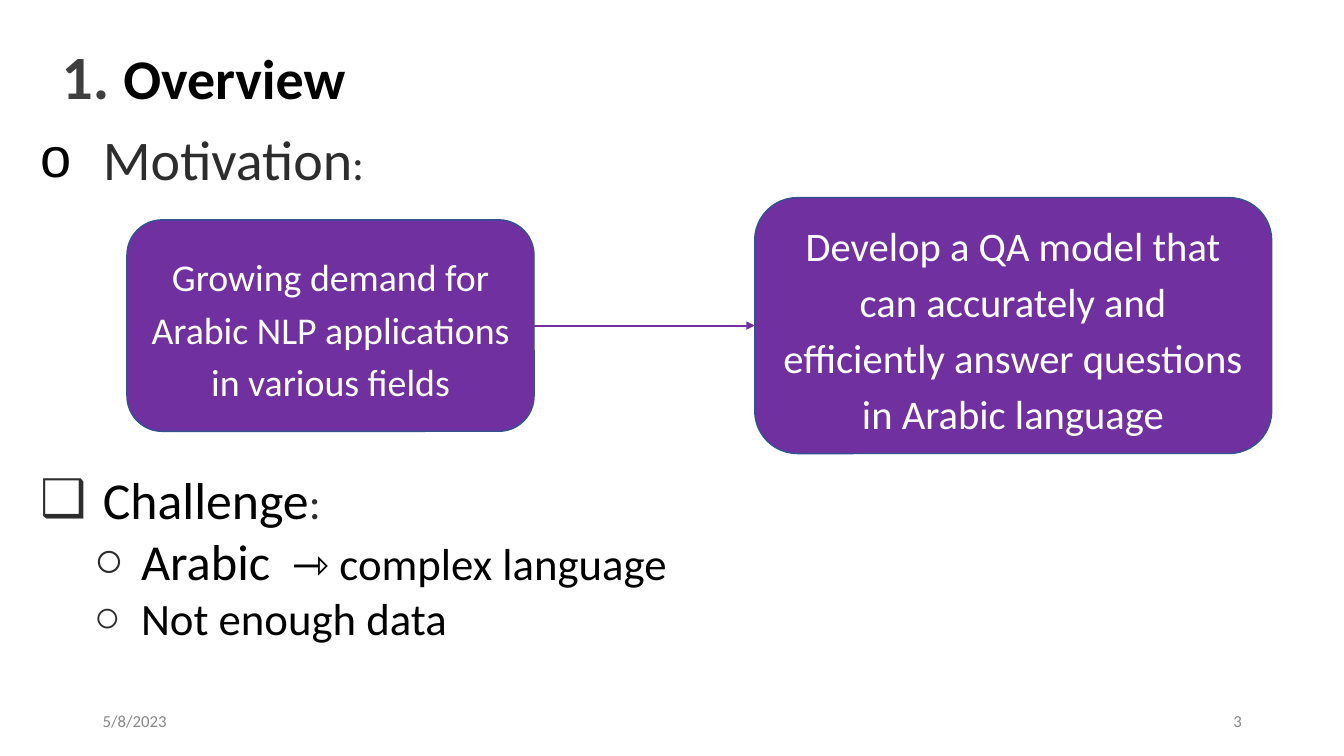
"""Build the overview slide with its motivation diagram and challenge list."""
from lxml import etree
from pptx import Presentation
from pptx.dml.color import RGBColor
from pptx.enum.shapes import MSO_CONNECTOR, MSO_SHAPE
from pptx.enum.text import MSO_ANCHOR, MSO_AUTO_SIZE, PP_ALIGN
from pptx.oxml.ns import qn
from pptx.util import Cm, Pt

LEFT, CENTER, RIGHT = PP_ALIGN.LEFT, PP_ALIGN.CENTER, PP_ALIGN.RIGHT
TOP, MIDDLE = MSO_ANCHOR.TOP, MSO_ANCHOR.MIDDLE
NO_AUTOFIT = MSO_AUTO_SIZE.NONE
ROUNDED_RECTANGLE = MSO_SHAPE.ROUNDED_RECTANGLE
STRAIGHT = MSO_CONNECTOR.STRAIGHT
LEFT_SITE, RIGHT_SITE = 1, 3

FONT = "Calibri"
TWO_CONTENT_LAYOUT = 3
BLACK = RGBColor(0x00, 0x00, 0x00)
CHARCOAL = RGBColor(0x2D, 0x2D, 0x2D)
DARK_GRAY = RGBColor(0x3F, 0x3F, 0x3F)
GRAY = RGBColor(0x88, 0x88, 0x88)
WHITE = RGBColor(0xFF, 0xFF, 0xFF)
PURPLE = RGBColor(0x70, 0x30, 0xA0)
BLUE = RGBColor(0x31, 0x53, 0x8F)


def place(shape, left, top, width, height):
    """Move and size a shape, in centimetres."""
    shape.left, shape.top = Cm(left), Cm(top)
    shape.width, shape.height = Cm(width), Cm(height)


def prepare_frame(shape, anchor):
    """Return the wrapped, fixed-size text frame of a shape."""
    text_frame = shape.text_frame
    text_frame.word_wrap = True
    text_frame.auto_size = NO_AUTOFIT
    text_frame.vertical_anchor = anchor
    return text_frame


def write_runs(paragraph, pieces, alignment=LEFT, spacing=1.0, bold=False):
    """Fill a paragraph with (text, size, colour) pieces."""
    paragraph.alignment = alignment
    paragraph.line_spacing = spacing
    paragraph.space_before = Pt(0)
    for text, size, color in pieces:
        run = paragraph.add_run()
        run.text = text
        run.font.name = FONT
        run.font.size = Pt(size)
        run.font.bold = bold
        run.font.color.rgb = color


def set_bullet(paragraph, character, color, indent, hanging):
    """Give a paragraph a coloured bullet with a hanging indent."""
    properties = paragraph._p.get_or_add_pPr()
    properties.set("marL", str(Cm(indent)))
    properties.set("indent", str(-Cm(hanging)))
    bullet_color = etree.SubElement(properties, qn("a:buClr"))
    etree.SubElement(bullet_color, qn("a:srgbClr"), val=str(color))
    etree.SubElement(properties, qn("a:buChar"), char=character)


def fill_list(placeholder, heading, heading_bullet, bullet_color, items=()):
    """Write a bulleted heading with its second-level items."""
    text_frame = prepare_frame(placeholder, TOP)
    paragraph = text_frame.paragraphs[0]
    write_runs(paragraph, heading)
    set_bullet(paragraph, heading_bullet, bullet_color, 1.58, 1.58)
    for pieces in items:
        paragraph = text_frame.add_paragraph()
        paragraph.level = 1
        write_runs(paragraph, pieces)
        set_bullet(paragraph, "○", CHARCOAL, 2.54, 1.19)


def add_box(slide, text, size, left, top, width, height):
    """Add a purple rounded box with centred text."""
    box = slide.shapes.add_shape(
        ROUNDED_RECTANGLE, Cm(left), Cm(top), Cm(width), Cm(height))
    box.shadow.inherit = False
    box.fill.solid()
    box.fill.fore_color.rgb = PURPLE
    box.line.color.rgb = BLUE
    box.line.width = Pt(1)
    paragraph = prepare_frame(box, MIDDLE).paragraphs[0]
    write_runs(paragraph, [(text, size, WHITE)], CENTER, 1.15)
    return box


def add_arrow(slide, source, target):
    """Join two boxes with an arrow from left to right."""
    arrow = slide.shapes.add_connector(STRAIGHT, 0, 0, 0, 0)
    arrow.begin_connect(source, RIGHT_SITE)
    arrow.end_connect(target, LEFT_SITE)
    arrow.line.color.rgb = PURPLE
    arrow.line.width = Pt(1.5)
    line = arrow.line._get_or_add_ln()
    etree.SubElement(line, qn("a:tailEnd"), type="triangle")
    etree.SubElement(arrow._element.spPr, qn("a:effectLst"))


def add_footer(slide, text, left, alignment):
    """Add a small gray text at the foot of the slide."""
    footer = slide.shapes.add_textbox(Cm(left), Cm(17.65), Cm(7.62), Cm(1.02))
    paragraph = prepare_frame(footer, MIDDLE).paragraphs[0]
    write_runs(paragraph, [(text, 12, GRAY)], alignment)


def main():
    """Build and save the slide."""
    presentation = Presentation()
    presentation.slide_width, presentation.slide_height = Cm(33.87), Cm(19.05)
    slide = presentation.slides.add_slide(
        presentation.slide_layouts[TWO_CONTENT_LAYOUT])
    title, motivation, challenge = slide.placeholders

    place(title, 1.3, 0.84, 10.77, 2.13)
    write_runs(prepare_frame(title, TOP).paragraphs[0],
               [("1. ", 44, DARK_GRAY), ("Overview", 40, BLACK)], bold=True)

    place(motivation, 0.76, 3.02, 28.68, 1.96)
    fill_list(motivation, [("Motivation", 40, CHARCOAL), (":", 32, CHARCOAL)],
              "o", BLACK)

    place(challenge, 0.76, 11.66, 18.97, 6.63)
    fill_list(challenge, [("Challenge", 37, BLACK), (":", 32, CHARCOAL)],
              "❑", CHARCOAL,
              [[("Arabic ", 36, BLACK), (" ⇾ complex language", 32, BLACK)],
               [("Not enough data", 32, BLACK)]])

    demand = add_box(
        slide, "Growing demand for Arabic NLP applications in various fields",
        27, 3.2, 5.54, 10.26, 5.33)
    goal = add_box(
        slide, "Develop a QA model that can accurately and "
        "efficiently answer questions in Arabic language",
        29, 19.02, 4.98, 13.03, 6.45)
    add_arrow(slide, demand, goal)

    add_footer(slide, "5/8/2023", 2.34, LEFT)
    add_footer(slide, "3", 23.93, RIGHT)
    presentation.save("out.pptx")


if __name__ == "__main__":
    main()
